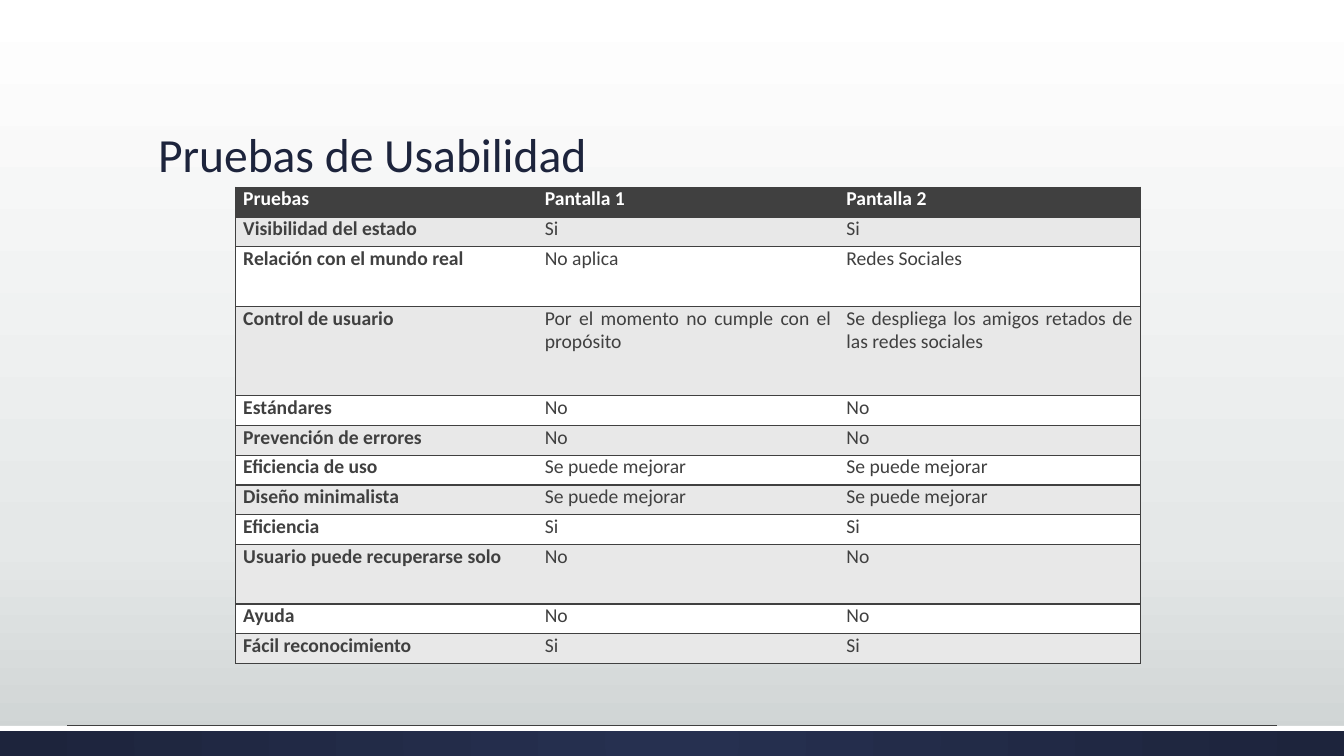
from dataclasses import dataclass

from lxml.etree import SubElement
from pptx import Presentation
from pptx.dml.color import RGBColor
from pptx.enum.shapes import MSO_CONNECTOR, MSO_SHAPE
from pptx.enum.text import MSO_ANCHOR, MSO_AUTO_SIZE, PP_ALIGN
from pptx.oxml import parse_xml
from pptx.oxml.ns import nsdecls, qn
from pptx.util import Cm, Pt

FONT = "Calibri"
NAVY, DARK, GREY, WHITE = "1D243C", "404040", "E8E8E8", "FFFFFF"
WIDTH, HEIGHT = 33.87, 19.05
BAR_TOP = 18.29
COL_WIDTH, ROW_UNIT = 7.6, 0.75
LINEAR = '<a:lin ang="5400000" scaled="0"/>'
RADIAL = '<a:path path="circle"><a:fillToRect l="50000" t="50000" r="50000" b="50000"/></a:path>'


@dataclass
class Row:
    test: str
    screen1: str
    screen2: str
    units: int = 1


@dataclass
class Bar:
    height: float
    color: str


ROWS = [
    Row("Pruebas", "Pantalla 1", "Pantalla 2"),
    Row("Visibilidad del estado", "Si", "Si"),
    Row("Relación con el mundo real", "No aplica", "Redes Sociales", 2),
    Row("Control de usuario", "Por el momento no cumple con el propósito",
        "Se despliega los amigos retados de las redes sociales", 3),
    Row("Estándares", "No", "No"),
    Row("Prevención de errores", "No", "No"),
    Row("Eficiencia de uso", "Se puede mejorar", "Se puede mejorar"),
    Row("Diseño minimalista", "Se puede mejorar", "Se puede mejorar"),
    Row("Eficiencia", "Si", "Si"),
    Row("Usuario puede recuperarse solo", "No", "No", 2),
    Row("Ayuda", "No", "No"),
    Row("Fácil reconocimiento", "Si", "Si"),
]
BARS = [Bar(0.76, NAVY), Bar(0.13, WHITE)]


def rgb(color: str) -> RGBColor:
    return RGBColor.from_string(color)


def set_gradient(props, stops: list[tuple[int, str]], shade: str) -> None:
    """Replace the solid fill in props by a gradient of (percent, colour) stops."""
    gs = "".join(f'<a:gs pos="{pos * 1000}"><a:srgbClr val="{color}"/></a:gs>'
                 for pos, color in stops)
    grad = parse_xml(f'<a:gradFill {nsdecls("a")} rotWithShape="1">'
                     f'<a:gsLst>{gs}</a:gsLst>{shade}</a:gradFill>')
    props.replace(props.find(qn("a:solidFill")), grad)


def set_borders(cell, sides: str) -> None:
    """Draw the given sides (letters of LRTB) and clear the others."""
    tc_pr = cell._tc.get_or_add_tcPr()
    for i, side in enumerate("LRTB"):
        paint = (f'<a:solidFill><a:srgbClr val="{DARK}"/></a:solidFill>'
                 if side in sides else "<a:noFill/>")
        tc_pr.insert(i, parse_xml(f'<a:ln{side} {nsdecls("a")} w="12700">{paint}</a:ln{side}>'))


def format_run(p, size: float, color: str, bold: bool = False) -> None:
    font = p.runs[0].font
    font.name, font.size, font.bold = FONT, Pt(size), bold
    font.color.rgb = rgb(color)


def add_backdrop(s) -> None:
    s.background.fill.solid()
    set_gradient(s.element.find(".//" + qn("p:bgPr")),
                 [(0, WHITE), (72, "E5E8E8"), (100, "CDD2D2")], LINEAR)
    for bar in BARS:
        sp = s.shapes.add_shape(MSO_SHAPE.RECTANGLE, 0, Cm(BAR_TOP), Cm(WIDTH), Cm(bar.height))
        sp.shadow.inherit = False
        sp.line.fill.background()
        sp.fill.solid()
        sp.fill.fore_color.rgb = rgb(bar.color)
        if bar.color == NAVY:
            set_gradient(sp.element.spPr, [(0, "263050"), (100, NAVY)], RADIAL)
    rule = s.shapes.add_connector(MSO_CONNECTOR.STRAIGHT, Cm(1.7), Cm(18.27), Cm(32.17), Cm(18.27))
    rule.line.color.rgb = rgb(DARK)
    rule.line.width = Pt(0.75)
    SubElement(rule.element.spPr, qn("a:effectLst"))


def add_title(s) -> None:
    title = s.shapes.title
    title.left, title.top, title.width, title.height = Cm(3.73), Cm(1.3), Cm(26.42), Cm(3.43)
    tf = title.text_frame
    tf.text = "Pruebas de Usabilidad"
    tf.auto_size = MSO_AUTO_SIZE.NONE
    tf.vertical_anchor = MSO_ANCHOR.BOTTOM
    p = tf.paragraphs[0]
    p.alignment = PP_ALIGN.LEFT
    p.line_spacing = 0.9
    format_run(p, 34, NAVY)


def add_results(s) -> None:
    height = ROW_UNIT * sum(row.units for row in ROWS)
    table = s.shapes.add_table(len(ROWS), 3, Cm(5.94), Cm(4.72),
                               Cm(3 * COL_WIDTH), Cm(height)).table
    table.horz_banding = False
    for col in table.columns:
        col.width = Cm(COL_WIDTH)
    for i, row in enumerate(ROWS):
        table.rows[i].height = Cm(ROW_UNIT * row.units)
        fill = DARK if i == 0 else GREY if i % 2 else WHITE
        for j, text in enumerate((row.test, row.screen1, row.screen2)):
            cell = table.cell(i, j)
            cell.margin_left = cell.margin_right = Cm(0.19)
            cell.margin_top = cell.margin_bottom = 0
            cell.fill.solid()
            cell.fill.fore_color.rgb = rgb(fill)
            set_borders(cell, ("LTB", "TB", "RTB")[j])
            cell.text_frame.text = text
            p = cell.text_frame.paragraphs[0]
            p.alignment = PP_ALIGN.JUSTIFY
            p.space_before = Pt(9)
            format_run(p, 14, WHITE if i == 0 else DARK, bold=i == 0 or j == 0)


def main() -> None:
    prs = Presentation()
    prs.slide_width, prs.slide_height = Cm(WIDTH), Cm(HEIGHT)
    s = prs.slides.add_slide(prs.slide_layouts[5])
    add_backdrop(s)
    add_title(s)
    add_results(s)
    prs.save("out.pptx")


if __name__ == "__main__":
    main()
